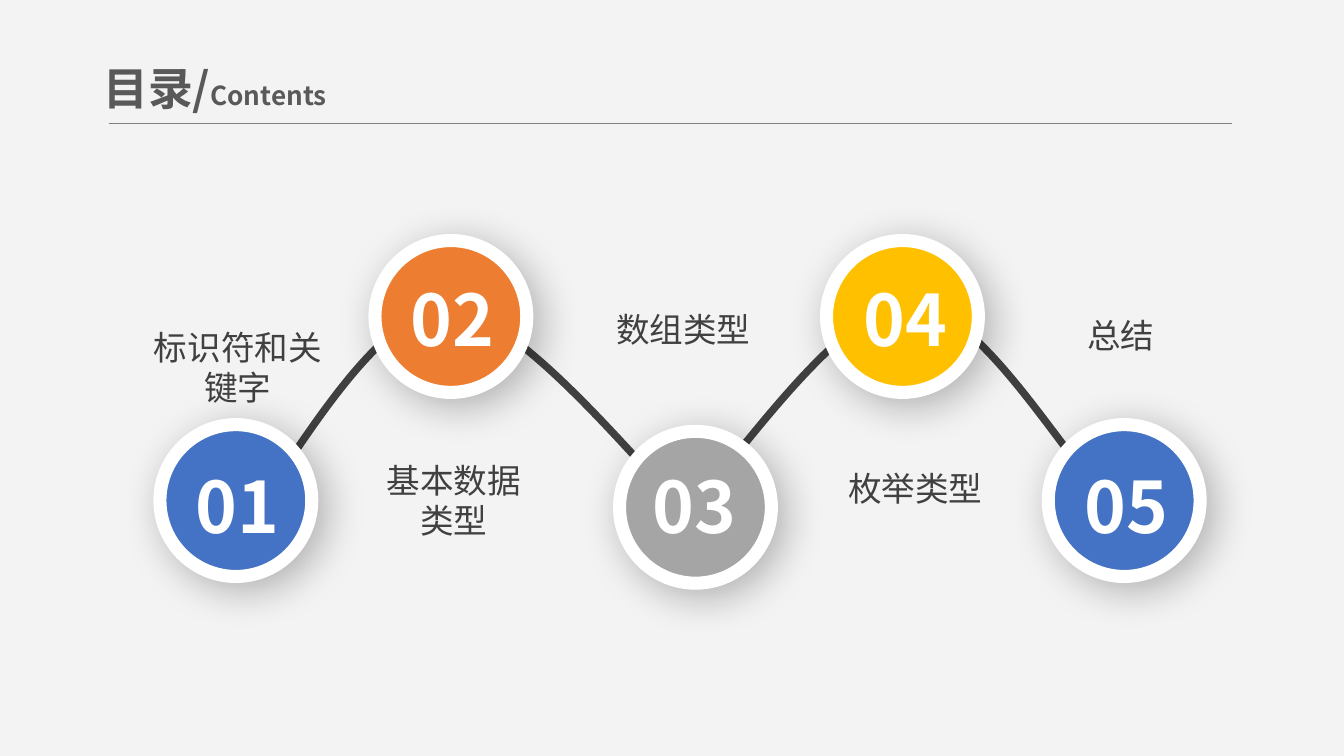
"""Build a contents slide with five numbered stops along a winding curve."""
import lxml.etree
import pptx
import pptx.dml.color
import pptx.enum.shapes
import pptx.enum.text
import pptx.oxml
import pptx.oxml.ns
import pptx.util

Inches = pptx.util.Inches
Pt = pptx.util.Pt
qn = pptx.oxml.ns.qn
FONT = "Noto Sans CJK SC"


def color(value):
    return pptx.dml.color.RGBColor.from_string(value)


def add_text(box, runs, frame_format, paragraph_format):
    frame = slide.shapes.add_textbox(*map(Inches, box)).text_frame
    for name, value in frame_format.items():
        setattr(frame, name, value)
    paragraph = frame.paragraphs[0]
    for name, value in paragraph_format.items():
        setattr(paragraph, name, value)
    for text, size, fill, bold in runs:
        run = paragraph.add_run()
        run.text = text
        for name, value in {"name": FONT, "size": Pt(size), "bold": bold}.items():
            setattr(run.font, name, value)
        run.font.color.rgb = color(fill)
        lxml.etree.SubElement(run.font._element, qn("a:ea"), typeface=FONT)


presentation = pptx.Presentation()
presentation.slide_width = Inches(10)
presentation.slide_height = Inches(10) * 9 // 16
slide = presentation.slides.add_slide(presentation.slide_layouts[6])
slide.background.fill.solid()
slide.background.fill.fore_color.rgb = color("F3F3F3")

add_text(
    (0.67, 0.38, 2.47, 0.54),
    [("目录/", 24, "595959", True), ("Contents", 14, "595959", True)],
    {"word_wrap": True, "vertical_anchor": pptx.enum.text.MSO_ANCHOR.MIDDLE},
    {},
)
rule = slide.shapes.add_connector(
    pptx.enum.shapes.MSO_CONNECTOR.STRAIGHT,
    Inches(0.81), Inches(0.92), Inches(9.17), Inches(0.92),
)
rule.line.color.rgb = color("808080")
rule.line.width = Pt(0.5)
lxml.etree.SubElement(rule._element.spPr, qn("a:effectLst"))

curve_points = [
    (1.86, 3.83),
    (2.1, 3.58), (2.77, 2.3), (3.32, 2.3),
    (3.86, 2.3), (4.84, 3.58), (5.14, 3.83),
    (5.45, 4.08), (4.87, 4.05), (5.14, 3.78),
    (5.41, 3.52), (6.24, 2.28), (6.75, 2.26),
    (7.26, 2.24), (7.9, 3.38), (8.21, 3.67),
]
points = [(Inches(x), Inches(y)) for x, y in curve_points]
builder = slide.shapes.build_freeform(*points[0])
builder.add_line_segments(points[1:], close=False)
curve = builder.convert_to_shape()
curve.shadow.inherit = False
curve.fill.background()
curve.line.color.rgb = color("404040")
curve.line.width = Pt(4)
segments = list(curve._element.iter(qn("a:lnTo")))
outline = segments[0].getparent()
for start in range(0, len(segments), 3):
    bezier = lxml.etree.SubElement(outline, qn("a:cubicBezTo"))
    for segment in segments[start:start + 3]:
        bezier.append(segment[0])
        outline.remove(segment)

stop_frame = {
    "word_wrap": True,
    "auto_size": pptx.enum.text.MSO_AUTO_SIZE.SHAPE_TO_FIT_TEXT,
    "margin_left": Inches(0.07),
    "margin_right": Inches(0.07),
    "margin_top": Inches(0.04),
    "margin_bottom": Inches(0.04),
}
centered = {"alignment": pptx.enum.text.PP_ALIGN.CENTER}
shadow_xml = (
    f'<a:effectLst {pptx.oxml.ns.nsdecls("a")}>'
    f'<a:outerShdw blurRad="{Pt(22)}" dist="{Pt(6)}" dir="{45 * 60000}" '
    'algn="tl" rotWithShape="0"><a:srgbClr val="000000"><a:alpha val="28000"/>'
    "</a:srgbClr></a:outerShdw></a:effectLst>"
)

stops = [
    ("标识符和关键字", (1.03, 2.39, 1.48, 0.68), (1.19, 3.16), (1.34, 3.4), "4472C4"),
    ("基本数据类型", (2.72, 3.38, 1.31, 0.68), (2.79, 1.79), (2.94, 2.01), "ED7D31"),
    ("数组类型", (4.4, 2.26, 1.37, 0.38), (4.61, 3.21), (4.74, 3.4), "A5A5A5"),
    ("枚举类型", (6.22, 3.44, 1.18, 0.38), (6.15, 1.79), (6.31, 2.01), "FFC000"),
    ("总结", (7.6, 2.3, 1.48, 0.38), (7.8, 3.16), (7.95, 3.4), "4472C4"),
]
for number, (label, label_box, circle_corner, number_corner, fill) in enumerate(stops, 1):
    add_text(label_box, [(label, 18, "404040", False)], stop_frame, centered)
    circle = slide.shapes.add_shape(
        pptx.enum.shapes.MSO_SHAPE.OVAL,
        *map(Inches, (*circle_corner, 1.13, 1.13)),
    )
    circle.fill.solid()
    circle.fill.fore_color.rgb = color(fill)
    circle.line.color.rgb = color("FFFFFF")
    circle.line.width = Pt(7)
    circle._element.spPr.append(pptx.oxml.parse_xml(shadow_xml))
    add_text(
        (*number_corner, 0.86, 0.72),
        [(f"{number:02}", 38, "FFFFFF", True)],
        stop_frame,
        centered,
    )

presentation.save("out.pptx")
